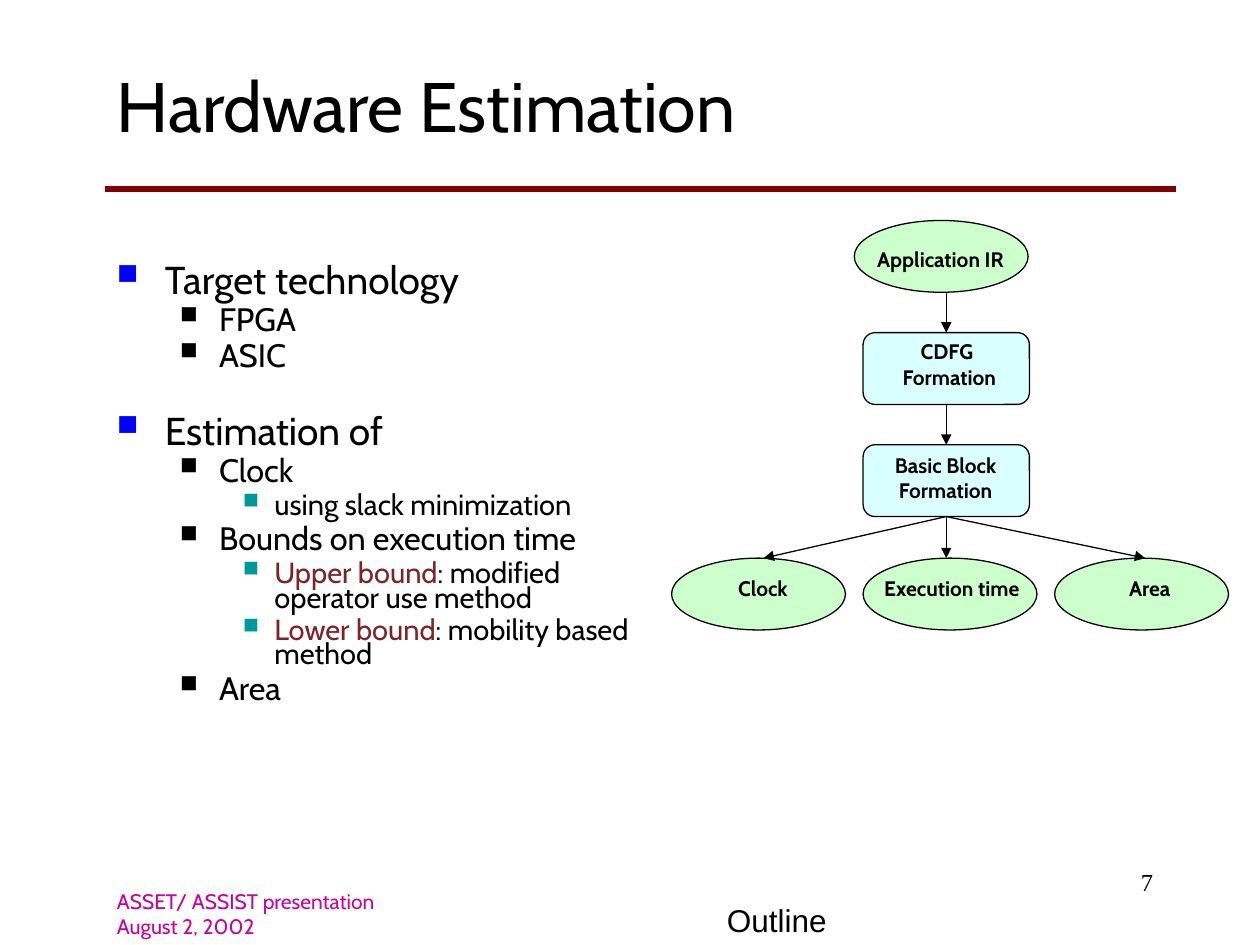
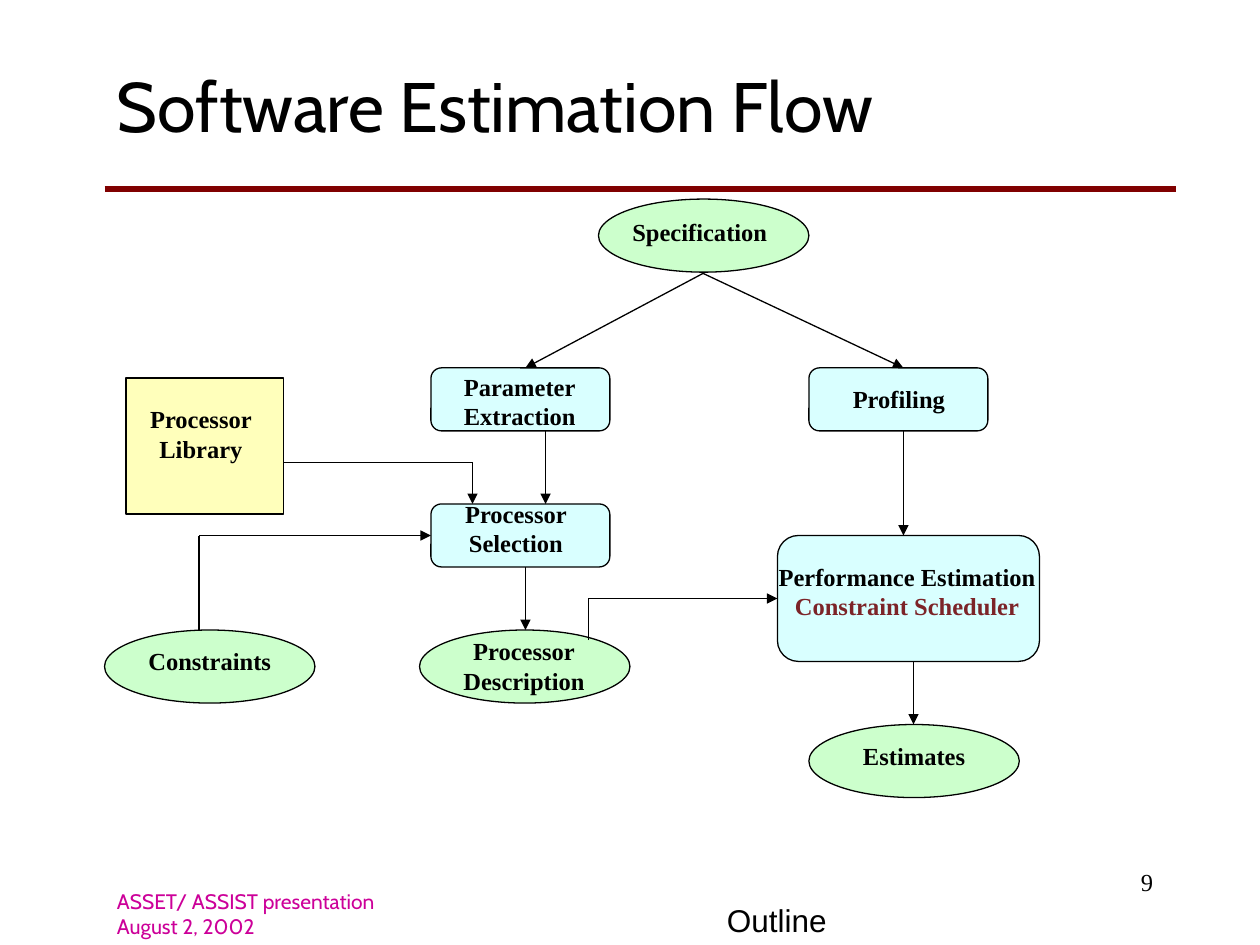
from dataclasses import dataclass
from itertools import pairwise
from typing import Optional

from lxml.etree import SubElement
from pptx import Presentation
from pptx.dml.color import RGBColor
from pptx.enum.shapes import MSO_CONNECTOR, MSO_SHAPE
from pptx.enum.text import MSO_ANCHOR, MSO_AUTO_SIZE, PP_ALIGN
from pptx.oxml.ns import qn
from pptx.util import Inches, Pt

COLORS = {
    "ink": "000000",
    "rule": "800000",
    "foot": "CC0099",
    "accent": "7C2428",
    "data": "CCFFCC",
    "step": "D9FFFF",
    "store": "FFFFBB",
    "blue": "0000FF",
    "teal": "009999",
}
SANS, SERIF, PLAIN = "Cabin", "Times New Roman", "Arial"
KINDS = {
    "data": MSO_SHAPE.OVAL,
    "step": MSO_SHAPE.ROUNDED_RECTANGLE,
    "store": MSO_SHAPE.RECTANGLE,
}


@dataclass
class Style:
    face: str
    size: float
    color: str = "ink"
    bold: bool = False
    align: Optional[PP_ALIGN] = None


@dataclass
class Node:
    kind: str
    box: tuple[float, float, float, float]
    lines: tuple[str, ...]
    label: tuple[float, float, float]  # left, top, width
    accent: int = -1  # index of the accented line


@dataclass
class Level:
    size: float
    left: float
    hang: float
    before: float
    color: str


@dataclass
class Item:
    level: int
    text: str
    lead: str = ""
    before: Optional[float] = None


TITLE = Style(SANS, 40)
FOOT = Style(SANS, 12, "foot")
LINK = Style(PLAIN, 18)
PAGE = Style(SERIF, 14, align=PP_ALIGN.RIGHT)
HARD = Style(SANS, 12, bold=True, align=PP_ALIGN.CENTER)
SOFT = Style(SERIF, 14, bold=True, align=PP_ALIGN.CENTER)

LEVELS = [
    Level(22.2, 0.38, 0.38, 6, "blue"),
    Level(18.5, 0.81, 0.31, 5, "ink"),
    Level(16.6, 1.25, 0.25, 4.5, "teal"),
]


def paint(name: str) -> RGBColor:
    return RGBColor.from_string(COLORS[name])


def set_font(para, style: Style) -> None:
    font = para.font
    font.name, font.size, font.bold = style.face, Pt(style.size), style.bold
    font.color.rgb = paint(style.color)
    if style.align is not None:
        para.alignment = style.align


def add_text(slide, box, lines, style: Style, anchor=MSO_ANCHOR.TOP, wrap=True):
    frame = slide.shapes.add_textbox(*map(Inches, box)).text_frame
    frame.word_wrap = wrap
    frame.vertical_anchor = anchor
    for i, line in enumerate(lines):
        para = frame.add_paragraph() if i else frame.paragraphs[0]
        para.text = line
        set_font(para, style)
    return frame


def add_line(slide, start, end, color="ink", width=0.75, head=False):
    line = slide.shapes.add_connector(
        MSO_CONNECTOR.STRAIGHT, *map(Inches, (*start, *end)))
    line.line.color.rgb = paint(color)
    line.line.width = Pt(width)
    if head:
        SubElement(line.line._get_or_add_ln(), qn("a:tailEnd"), type="triangle")
    SubElement(line._element.spPr, qn("a:effectLst"))
    return line


# Flow charts
def add_node(slide, node: Node):
    shape = slide.shapes.add_shape(KINDS[node.kind], *map(Inches, node.box))
    shape.shadow.inherit = False
    shape.fill.solid()
    shape.fill.fore_color.rgb = paint(node.kind)
    shape.line.color.rgb = paint("ink")
    shape.line.width = Pt(0.75)
    return shape


def add_label(slide, node: Node, style: Style) -> None:
    left, top, width = node.label
    spare = 0.05  # room on both sides, so that no word breaks
    high = 0.1 + len(node.lines) * style.size / 60
    frame = add_text(slide, (left - spare, top, width + 2 * spare, high),
                     node.lines, style, MSO_ANCHOR.MIDDLE, wrap=False)
    frame.auto_size = MSO_AUTO_SIZE.SHAPE_TO_FIT_TEXT
    if node.accent >= 0:
        frame.paragraphs[node.accent].font.color.rgb = paint("accent")


def find_site(point, nodes, shapes):
    """Return the box and side whose middle lies at the point."""
    for node, shape in zip(nodes, shapes):
        x, y, w, h = node.box
        sides = [(x + w / 2, y), (x, y + h / 2),
                 (x + w / 2, y + h), (x + w, y + h / 2)]
        for side, (sx, sy) in enumerate(sides):
            near = max(abs(sx - point[0]), abs(sy - point[1])) < 0.01
            if node.kind != "data" and near:
                return shape, side
    return None


def add_flow(slide, nodes: list[Node], routes, style: Style) -> None:
    shapes = [add_node(slide, node) for node in nodes]
    for route in routes:
        for start, end in pairwise(route):
            line = add_line(slide, start, end, head=end == route[-1])
            if site := find_site(start, nodes, shapes):
                line.begin_connect(*site)
            if site := find_site(end, nodes, shapes):
                line.end_connect(*site)
    for node in nodes:
        add_label(slide, node, style)


# Bulleted text
def add_bullet(para, level: Level) -> None:
    props = para._p.get_or_add_pPr()
    props.set("marL", str(Inches(level.left)))
    props.set("indent", str(-Inches(level.hang)))
    tint = SubElement(props, qn("a:buClr"))
    SubElement(tint, qn("a:srgbClr"), val=COLORS[level.color])
    SubElement(props, qn("a:buSzPct"), val="75000")
    SubElement(props, qn("a:buChar"), char="■")


def add_list(slide, box, items: list[Item]) -> None:
    frame = slide.shapes.add_textbox(*map(Inches, box)).text_frame
    frame.word_wrap = True
    for i, item in enumerate(items):
        level = LEVELS[item.level]
        para = frame.add_paragraph() if i else frame.paragraphs[0]
        para.level = item.level
        add_bullet(para, level)
        para.line_spacing = 0.7
        if i:
            para.space_before = Pt(item.before or level.before)
        set_font(para, Style(SANS, level.size))
        if item.lead:
            run = para.add_run()
            run.text = item.lead
            run.font.color.rgb = paint("accent")
        para.add_run().text = item.text


# Shared frame of every slide
def add_slide(deck, title: str, page: int):
    slide = deck.slides.add_slide(deck.slide_layouts[6])
    add_line(slide, (0.83, 1.5), (9.33, 1.5), "rule", 3)
    add_text(slide, (5.67, 7.1, 1.08, 0.4), ["Outline"], LINK, MSO_ANCHOR.BOTTOM)
    add_text(slide, (0.83, 0.33, 7.75, 1), [title], TITLE, MSO_ANCHOR.MIDDLE)
    add_text(slide, (0.83, 7.17, 3.17, 0.33),
             ["ASSET/ ASSIST presentation", "August 2, 2002"], FOOT,
             MSO_ANCHOR.BOTTOM)
    add_text(slide, (7.17, 6.83, 2.08, 0.5), [str(page)], PAGE)
    return slide


def add_hardware(deck) -> None:
    slide = add_slide(deck, "Hardware Estimation", 7)
    add_list(slide, (0.83, 2.08, 4.45, 3.72), [
        Item(0, "Target technology"),
        Item(1, "FPGA"),
        Item(1, "ASIC"),
        Item(0, "Estimation of", before=26.7),
        Item(1, "Clock"),
        Item(2, "using slack minimization"),
        Item(1, "Bounds on execution time"),
        Item(2, ": modified operator use method", "Upper bound"),
        Item(2, ": mobility based method", "Lower bound"),
        Item(1, "Area"),
    ])
    wide, high, mid, base = 1.38, 0.57, 7.51, 4.43
    nodes = [
        Node("data", (6.78, 1.75, wide, high), ("Application IR",),
             (6.78, 1.91, 1.37)),
        Node("step", (6.85, 2.64, 1.32, high), ("CDFG ", "Formation"),
             (7, 2.64, 1.07)),
        Node("step", (6.85, 3.53, 1.32, high), ("Basic Block", "Formation"),
             (6.94, 3.54, 1.13)),
    ]
    results = [("Clock", 5.73, 0.65), ("Execution time", 6.83, 1.45),
               ("Area", 8.83, 0.59)]
    for i, (name, left, width) in enumerate(results):
        nodes.append(Node("data", (5.33 + 1.52 * i, base, wide, high), (name,),
                          (left, 4.52, width)))
    routes = [[(mid, 2.32), (mid, 2.64)], [(mid, 3.21), (mid, 3.53)]]
    routes += [[(mid, 4.1), (x, base)] for x in (6.06, mid, 9.09)]
    add_flow(slide, nodes, routes, HARD)


def add_software(deck) -> None:
    slide = add_slide(deck, "Software Estimation Flow", 9)
    oval, step = (1.67, 0.58), (1.42, 0.5)
    nodes = [
        Node("data", (4.75, 1.58, *oval), ("Specification",), (4.92, 1.67, 1.27)),
        Node("store", (1, 3, 1.25, 1.08), ("Processor", "Library"),
             (1.09, 3.16, 1.01)),
        Node("data", (0.83, 5, *oval), ("Constraints",), (1.08, 5.08, 1.17)),
        Node("step", (3.42, 2.92, *step), ("Parameter", "Extraction"),
             (3.58, 2.9, 1.09)),
        Node("step", (3.42, 4, *step), ("Processor", "Selection"),
             (3.59, 3.91, 1.01)),
        Node("data", (3.33, 5, *oval), ("Processor", "Description"),
             (3.58, 5, 1.16)),
        Node("step", (6.42, 2.92, *step), ("Profiling",), (6.67, 3, 0.93)),
        Node("step", (6.17, 4.25, 2.08, 1),
             ("Performance Estimation", "Constraint Scheduler"),
             (6.08, 4.41, 2.24), accent=1),
        Node("data", (6.42, 5.75, *oval), ("Estimates",), (6.75, 5.83, 1.01)),
    ]
    routes = [
        [(5.58, 2.17), (4.17, 2.92)],
        [(5.58, 2.17), (7.17, 2.92)],
        [(4.33, 3.42), (4.33, 4)],
        [(4.17, 4.5), (4.17, 5)],
        [(7.25, 5.25), (7.25, 5.75)],
        [(7.17, 3.42), (7.17, 4.25)],
        [(2.25, 3.67), (3.75, 3.67), (3.75, 4)],
        [(1.58, 5), (1.58, 4.25), (3.42, 4.25)],
        [(4.67, 5.08), (4.67, 4.75), (6.17, 4.75)],
    ]
    add_flow(slide, nodes, routes, SOFT)


def main() -> None:
    deck = Presentation()
    deck.slide_width, deck.slide_height = Inches(10), Inches(7.5)
    add_hardware(deck)
    add_software(deck)
    deck.save("out.pptx")


if __name__ == "__main__":
    main()
